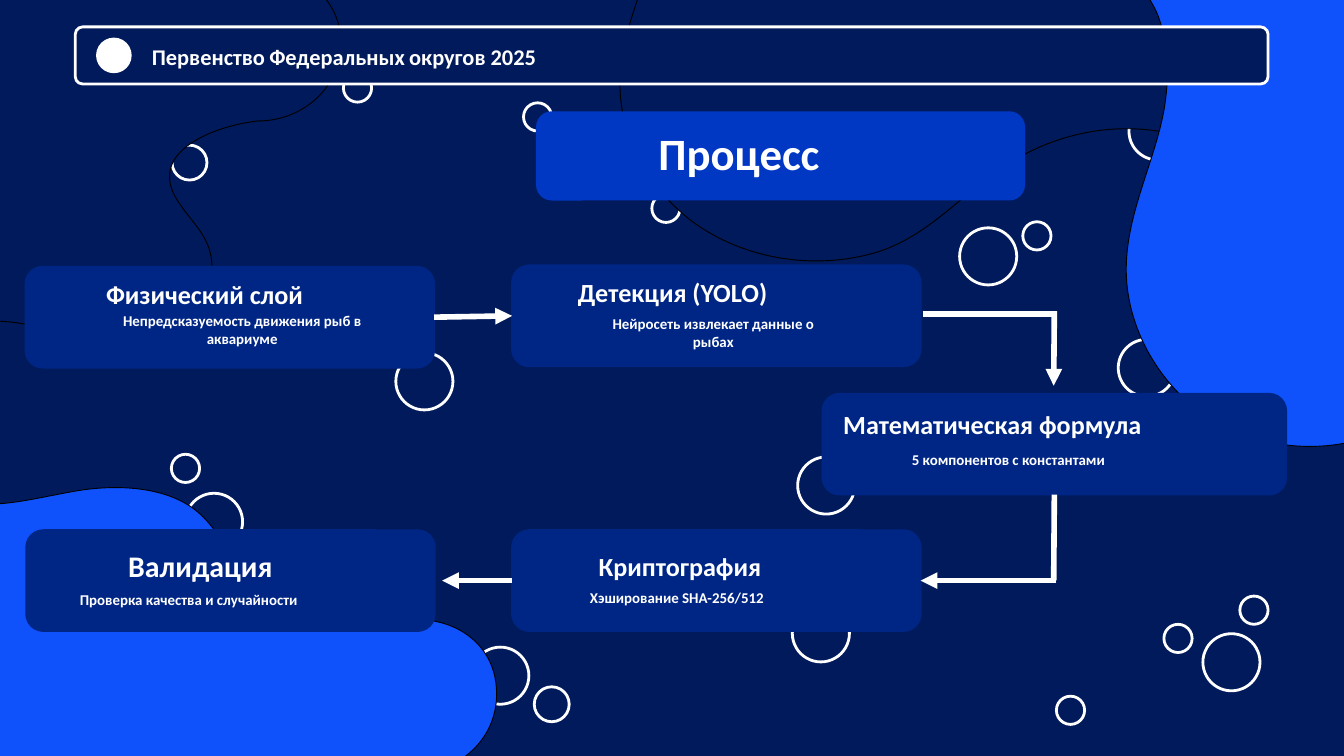
from lxml.etree import SubElement as Sub
from pptx import Presentation
from pptx.dml.color import RGBColor as Rgb
from pptx.enum.shapes import MSO_CONNECTOR as Conn, MSO_SHAPE as Kind
from pptx.enum.text import MSO_AUTO_SIZE as Auto, PP_ALIGN as Align
from pptx.oxml.ns import qn
from pptx.util import Emu, Inches, Pt

# The grid: 20 columns by 11.25 rows of square cells
WIDE, HIGH = Inches(20), Inches(11.25)
CELL = WIDE // 20

COLORS = {
    "navy": "001A5B", "blue": "0F52FB", "title": "0038C4",
    "card": "002685", "white": "FFFFFF", "black": "000000",
}
BOLD = {"name": "Calibri", "bold": True}

# Bubbles by diameter: (column, row) of the top left corner
BACK = {
    0.42: [(9.7, 2.89), (5.11, 1.1), (7.79, 1.53)],
    0.85: [(16.8, 1.53), (5.89, 5.25), (11.79, 9), (16.64, 5.05),
           (11.87, 6.8), (2.76, 7.34), (7.02, 9.63)],
    0.52: [(2.56, 2.16)],
}
FRONT = {
    0.85: [(14.28, 3.39), (17.9, 9.43)],
    0.42: [(15.22, 3.3), (18.45, 8.87), (17.32, 9.29),
           (15.72, 10.36), (2.55, 6.76)],
}

# Wave outline: start point, then two handles and an end for each curve
START = (11.34, 3.07)
CURVES = [
    (11.97, 3.11, 12.46, 3.53, 12.45, 4.19),
    (12.45, 4.82, 11.93, 5.33, 11.3, 5.33),
    (10.77, 5.39, 9.74, 5.75, 10.17, 6.5),
    (10.38, 6.86, 10.65, 7.04, 10.66, 7.5),
    (10.67, 8.24, 9.94, 8.94, 9.19, 8.75),
    (8.98, 8.7, 8.78, 8.6, 8.58, 8.51),
    (7.69, 8.14, 6.71, 8.29, 5.92, 8.82),
    (5.25, 9.27, 4.77, 9.97, 3.96, 10.18),
    (3.1, 10.41, 2.14, 10.21, 1.46, 9.64),
    (0.88, 9.14, 0.5, 8.38, 0.51, 7.61),
    (0.52, 6.8, 0.92, 6.07, 1.07, 5.28),
    (1.15, 4.82, 1.15, 4.32, 0.99, 3.88),
    (0.82, 3.44, 0.45, 3.16, 0.23, 2.76),
    (0.09, 2.49, 0, 2.19, 0, 1.87),
    (0, 0.83, 0.84, 0, 1.88, 0),
    (2.17, 0, 2.46, 0.07, 2.72, 0.2),
    (3.18, 0.43, 3.47, 0.88, 3.93, 1.13),
    (4.7, 1.53, 5.37, 1.3, 6.17, 1.16),
    (6.68, 1.07, 7.33, 1.07, 7.8, 1.33),
    (8.18, 1.53, 8.41, 1.96, 8.61, 2.33),
    (9.16, 3.35, 10.33, 3.02, 11.31, 3.07),
]
NARROW, BROAD = 1, 1.07
# column, row, stretch, colour
WAVES = [
    (8.68, -6.39, BROAD, "navy"), (16.25, -3.63, NARROW, "blue"),
    (-5.06, 6.15, NARROW, "blue"), (-8.25, -3.53, BROAD, "navy"),
]

# Cards: box, head (column, row, width, size, text), note (column, row, width, text, wrap)
CARDS = [
    ((0.38, 3.97, 6.08), (1.48, 4.1, 4.26, 28, "Физический слой"),
     (1.42, 4.59, 4.37, "Непредсказуемость движения рыб в аквариуме", True)),
    ((7.62, 3.95, 6.08), (8.5, 4.07, 4.32, 28, "Детекция (YOLO)"),
     (8.86, 4.63, 3.51, "Нейросеть извлекает данные о рыбах", True)),
    ((12.24, 5.86, 6.9), (12.45, 6.03, 6.47, 28, "Математическая формула"),
     (13.47, 6.65, 4.27, "5 компонентов с константами", False)),
    ((7.62, 7.89, 6.08), (8.81, 8.14, 3.64, 28, "Криптография"),
     (8.68, 8.71, 4.02, "Хэширование SHA-256/512", False)),
    ((0.39, 7.89, 6.08), (1.81, 8.1, 3.18, 32, "Валидация"),
     (1.09, 8.74, 4.83, "Проверка качества и случайности", False)),
]
# Links: start, end, has an arrowhead
LINKS = [
    ((6.46, 4.72), (7.62, 4.7), True), ((15.69, 4.63), (15.68, 5.74), True),
    ((15.72, 8.64), (13.7, 8.64), True), ((7.62, 8.64), (6.58, 8.64), True),
    ((15.69, 7.36), (15.68, 8.64), False), ((13.73, 4.67), (15.72, 4.67), False),
]


def grid(*cells):
    return [Emu(round(n * CELL)) for n in cells]


def tint(name):
    return Rgb.from_string(COLORS[name])


def paint(shape, fill=None, line=None, width=1):
    shape.shadow.inherit = False
    for part, name in ((shape.fill, fill), (shape.line.fill, line)):
        if name:
            part.solid()
            part.fore_color.rgb = tint(name)
        else:
            part.background()
    if line:
        shape.line.width = Pt(width)


def disc(slide, col, row, size, **look):
    paint(slide.shapes.add_shape(Kind.OVAL, *grid(col, row, size, size)), **look)


def bubbles(slide, groups):
    for size, spots in groups.items():
        for col, row in spots:
            disc(slide, col, row, size, line="white", width=3)


def panel(slide, box, round_by, **look):
    shape = slide.shapes.add_shape(Kind.ROUNDED_RECTANGLE, *grid(*box))
    shape.adjustments[0] = round_by
    paint(shape, **look)


def bend(shape):
    """Turn each three straight steps of an outline into one curve."""
    steps = list(shape._element.iter(qn("a:lnTo")))
    for first, *rest in zip(steps[::3], steps[1::3], steps[2::3]):
        curve = first.makeelement(qn("a:cubicBezTo"))
        first.addprevious(curve)
        for step in (first, *rest):
            curve.append(step[0])
            step.getparent().remove(step)


def wave(slide, col, row, stretch, color):
    knots = [START] + [c[i:i + 2] for c in CURVES for i in (0, 2, 4)]
    dots = [grid(col + x * stretch, row + y) for x, y in knots]
    pen = slide.shapes.build_freeform(*dots[0])
    pen.add_line_segments(dots[1:], close=True)
    shape = pen.convert_to_shape()
    bend(shape)
    paint(shape, fill=color, line="black")


def label(slide, box, runs, wrap=False, align=Align.LEFT, inset=True):
    frame = slide.shapes.add_textbox(*grid(*box)).text_frame
    frame.word_wrap, frame.auto_size = wrap, Auto.SHAPE_TO_FIT_TEXT
    if not inset:
        for side in ("left", "right", "top", "bottom"):
            setattr(frame, f"margin_{side}", 0)
    para = frame.paragraphs[0]
    para.alignment = align
    for text, size in runs:
        run = para.add_run()
        run.text = text
        for key, value in {**BOLD, "size": Pt(size)}.items():
            setattr(run.font, key, value)
        run.font.color.rgb = tint("white")


def card(slide, box, head, note):
    panel(slide, (*box, 1.5), 0.17, fill="card", line="card", width=2)
    col, row, wide, size, text = head
    label(slide, (col, row, wide, size / 50), [(text, size)])
    col, row, wide, text, wrap = note
    label(slide, (col, row, wide, 0.64 if wrap else 0.37), [(text, 16)],
          wrap, Align.CENTER if wrap else Align.LEFT)


def link(slide, start, end, arrow):
    line = slide.shapes.add_connector(Conn.STRAIGHT, *grid(*start, *end))
    line.line.color.rgb = tint("white")
    line.line.width = Pt(6)
    if arrow:
        Sub(line.line._get_or_add_ln(), qn("a:tailEnd"), type="triangle")
    Sub(line._element.spPr, qn("a:effectLst"))


def header(slide):
    panel(slide, (1.12, 0.4, 17.75, 0.85), 0.13, fill="navy", line="white", width=3)
    disc(slide, 1.43, 0.56, 0.53, fill="white")
    runs = [("Первенство", 24), (" ", 20), ("Федеральных", 24),
            (" ", 20), ("округов 2025", 24)]
    label(slide, (2.26, 0.64, 8.64, 0.4), runs, wrap=True, inset=False)


def main():
    deck = Presentation()
    deck.slide_width, deck.slide_height = WIDE, HIGH
    slide = deck.slides.add_slide(deck.slide_layouts[6])

    # Background
    back = slide.background.fill
    back.solid()
    back.fore_color.rgb = tint("navy")
    bubbles(slide, BACK)
    for item in WAVES:
        wave(slide, *item)
    disc(slide, 7.95, 10.22, 0.52, line="white", width=3)

    # Header and title
    header(slide)
    panel(slide, (7.99, 1.67, 7.25, 1.3), 0.17, fill="title", line="title", width=2)
    label(slide, (9.7, 1.82, 3.72, 0.91), [("Процесс", 48)])

    # Process
    for item in CARDS:
        card(slide, *item)
    for item in LINKS:
        link(slide, *item)
    bubbles(slide, FRONT)
    deck.save("out.pptx")


if __name__ == "__main__":
    main()
